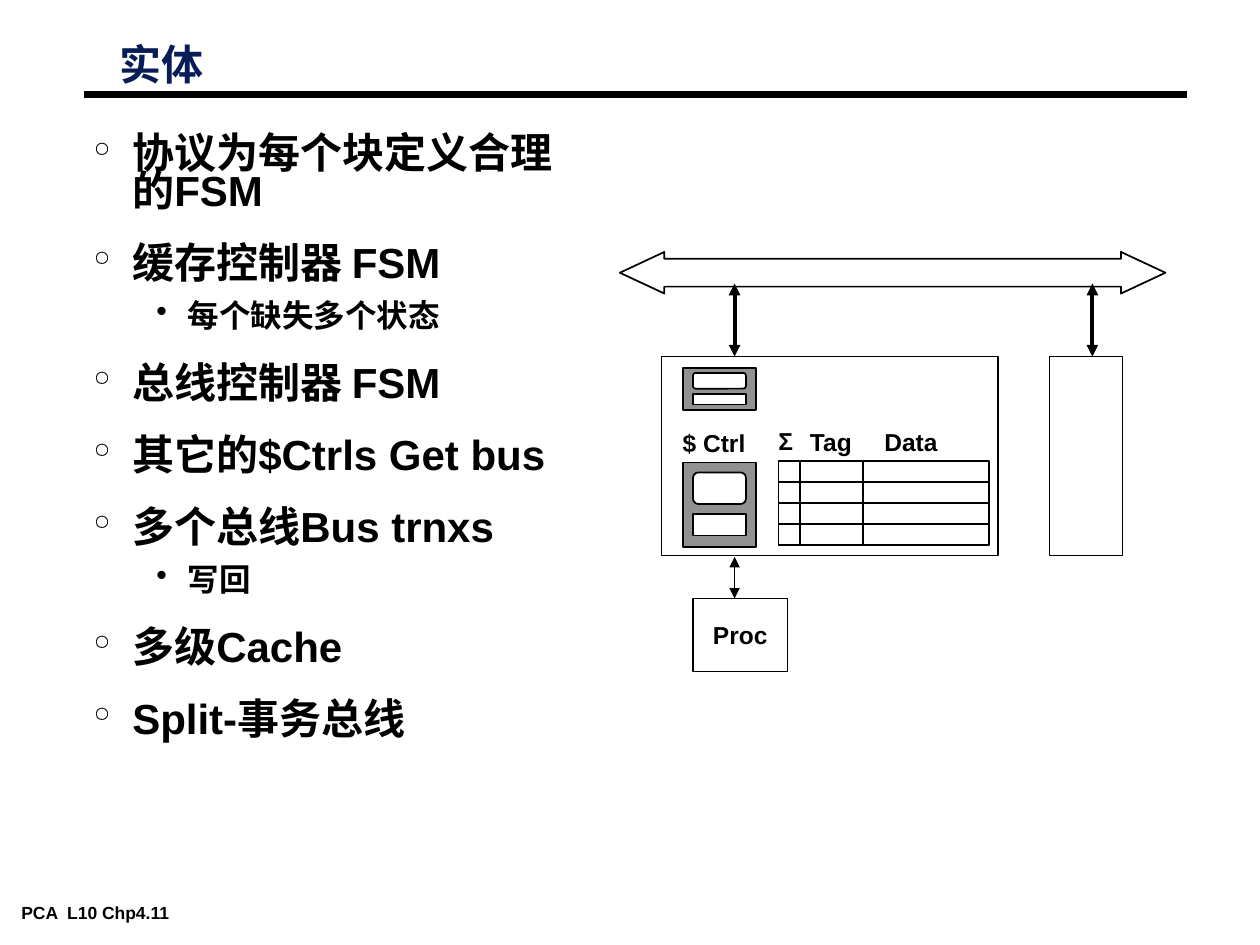
from typing import NamedTuple, Optional

from lxml import etree
from pptx import Presentation
from pptx.dml.color import RGBColor
from pptx.enum.shapes import MSO_CONNECTOR, MSO_SHAPE
from pptx.enum.text import MSO_ANCHOR, PP_ALIGN
from pptx.oxml.ns import qn
from pptx.util import Inches, Pt

RECT = MSO_SHAPE.RECTANGLE
ROUND_RECT = MSO_SHAPE.ROUNDED_RECTANGLE
BUS_ARROW = MSO_SHAPE.LEFT_RIGHT_ARROW
STRAIGHT = MSO_CONNECTOR.STRAIGHT
CENTER = PP_ALIGN.CENTER
TOP, MIDDLE = MSO_ANCHOR.TOP, MSO_ANCHOR.MIDDLE

BLACK = RGBColor(0x00, 0x00, 0x00)
WHITE = RGBColor(0xFF, 0xFF, 0xFF)
GRAY = RGBColor(0x91, 0x91, 0x91)
NAVY = RGBColor(0x08, 0x1D, 0x58)
FONT = "Arial"


class Box(NamedTuple):
    left: float
    top: float
    width: float
    height: float


class Label(NamedTuple):
    text: str
    box: Box
    size: float = 14
    color: RGBColor = BLACK
    inset: tuple = (0.1, 0.05)
    spacing: Optional[float] = None


class Level(NamedTuple):
    size: float
    bullet: str
    margin: float
    hanging: float
    spacing: float
    before: float


class Line(NamedTuple):
    x1: float
    y1: float
    x2: float
    y2: float
    weight: float
    arrows: bool = True


LEVELS = [Level(24, "°", 0.31, 0.31, 0.75, 19.5),
          Level(18, "•", 0.75, 0.25, 0.85, 9)]

BULLETS = [
    (0, "协议为每个块定义合理的FSM"),
    (0, "缓存控制器 FSM"),
    (1, "每个缺失多个状态"),
    (0, "总线控制器 FSM"),
    (0, "其它的$Ctrls Get bus"),
    (0, "多个总线Bus trnxs"),
    (1, "写回"),
    (0, "多级Cache"),
    (0, "Split-事务总线"),
]

SMALL_INSET = (0.07, 0.03)
LABELS = [
    Label("PCA  L10 Chp4.11", Box(0.1, 7.13, 1.84, 0.22), 10, inset=SMALL_INSET),
    Label("实体", Box(0.88, 0.33, 0.81, 0.4), 24, NAVY, SMALL_INSET, 0.87),
    Label("Σ", Box(6.08, 3.33, 0.31, 0.34)),
    Label("Tag", Box(6.33, 3.34, 0.54, 0.34)),
    Label("Data", Box(6.92, 3.34, 0.62, 0.34)),
    Label("$ Ctrl", Box(5.32, 3.35, 0.7, 0.34)),
]

LINES = [
    Line(0.67, 0.75, 9.42, 0.75, 4.5, arrows=False),
    Line(5.83, 4.42, 5.83, 4.75, 1),
    Line(5.83, 2.25, 5.83, 2.83, 2.25),
    Line(8.67, 2.25, 8.67, 2.83, 2.25),
]

# Cache table: state, tag and data columns
COLUMN_WIDTHS = [0.17, 0.5, 1.0]
ROWS, ROW_HEIGHT = 4, 0.167
CACHE_LEFT, CACHE_TOP = 6.18, 3.66


def set_font(p, size: float, color: RGBColor) -> None:
    p.font.name = FONT
    p.font.size = Pt(size)
    p.font.bold = True
    p.font.color.rgb = color


def set_insets(tf, x: float, y: float) -> None:
    tf.margin_left = tf.margin_right = Inches(x)
    tf.margin_top = tf.margin_bottom = Inches(y)


def add_text_box(slide, box: Box, inset: tuple, wrap: bool):
    tf = slide.shapes.add_textbox(*map(Inches, box)).text_frame
    tf.word_wrap = wrap
    tf.vertical_anchor = TOP
    set_insets(tf, *inset)
    return tf


def add_label(slide, label: Label) -> None:
    p = add_text_box(slide, label.box, label.inset, False).paragraphs[0]
    p.text = label.text
    p.line_spacing = label.spacing
    set_font(p, label.size, label.color)


def add_block(slide, box: Box, fill: Optional[RGBColor] = WHITE, kind=RECT):
    sp = slide.shapes.add_shape(kind, *map(Inches, box))
    sp.shadow.inherit = False
    if fill is None:
        sp.fill.background()
    else:
        sp.fill.solid()
        sp.fill.fore_color.rgb = fill
    sp.line.color.rgb = BLACK
    sp.line.width = Pt(1)
    return sp


def add_line(slide, line: Line) -> None:
    ends = map(Inches, (line.x1, line.y1, line.x2, line.y2))
    cxn = slide.shapes.add_connector(STRAIGHT, *ends)
    cxn.line.color.rgb = BLACK
    cxn.line.width = Pt(line.weight)
    if line.arrows:
        ln = cxn.line._get_or_add_ln()
        for end in ("a:headEnd", "a:tailEnd"):
            etree.SubElement(ln, qn(end), type="triangle")
    etree.SubElement(cxn._element.spPr, qn("a:effectLst"))


def add_bullets(slide, box: Box) -> None:
    tf = add_text_box(slide, box, SMALL_INSET, True)
    for i, (depth, text) in enumerate(BULLETS):
        level = LEVELS[depth]
        p = tf.add_paragraph() if i else tf.paragraphs[0]
        p.text = text
        p.level = depth
        p.line_spacing = level.spacing
        p.space_before = Pt(level.before)
        set_font(p, level.size, BLACK)
        pPr = p._p.get_or_add_pPr()
        pPr.set("marL", str(Inches(level.margin)))
        pPr.set("indent", str(-Inches(level.hanging)))
        bullet = etree.Element(qn("a:buChar"), char=level.bullet)
        pPr.find(qn("a:defRPr")).addprevious(bullet)


def add_controller(slide, top: float, scale: float) -> None:
    """Gray unit with a rounded block above a plain one."""
    add_block(slide, Box(5.42, top, 0.58, 0.67 * scale), GRAY)
    add_block(slide, Box(5.5, top + 0.41 * scale, 0.42, 0.17 * scale))
    add_block(slide, Box(5.5, top + 0.08 * scale, 0.42, 0.25 * scale), kind=ROUND_RECT)


def add_cache_table(slide) -> None:
    for row in range(ROWS):
        for col, width in enumerate(COLUMN_WIDTHS):
            left = CACHE_LEFT + sum(COLUMN_WIDTHS[:col])
            add_block(slide, Box(left, CACHE_TOP + row * ROW_HEIGHT, width, ROW_HEIGHT))


def main() -> None:
    prs = Presentation()
    prs.slide_width, prs.slide_height = Inches(10), Inches(7.5)
    slide = prs.slides.add_slide(prs.slide_layouts[6])

    add_bullets(slide, Box(0.67, 1.07, 4.08, 4.84))

    # Bus
    bus = add_block(slide, Box(4.92, 2, 4.33, 0.33), kind=BUS_ARROW)
    bus.adjustments[0], bus.adjustments[1] = 0.67, 1.07

    # Node with its controllers and cache, and the neighbouring node
    add_block(slide, Box(5.25, 2.83, 2.67, 1.58), None)
    add_block(slide, Box(8.33, 2.83, 0.58, 1.58))
    add_controller(slide, 2.92, 0.5)
    add_controller(slide, 3.67, 1)
    add_cache_table(slide)

    # Processor
    proc = add_block(slide, Box(5.5, 4.75, 0.75, 0.58))
    tf = proc.text_frame
    tf.word_wrap = False
    tf.vertical_anchor = MIDDLE
    p = tf.paragraphs[0]
    p.text = "Proc"
    p.alignment = CENTER
    set_font(p, 14, BLACK)

    # Title rule, arrows and labels
    for line in LINES:
        add_line(slide, line)
    for label in LABELS:
        add_label(slide, label)

    prs.save("out.pptx")


if __name__ == "__main__":
    main()
